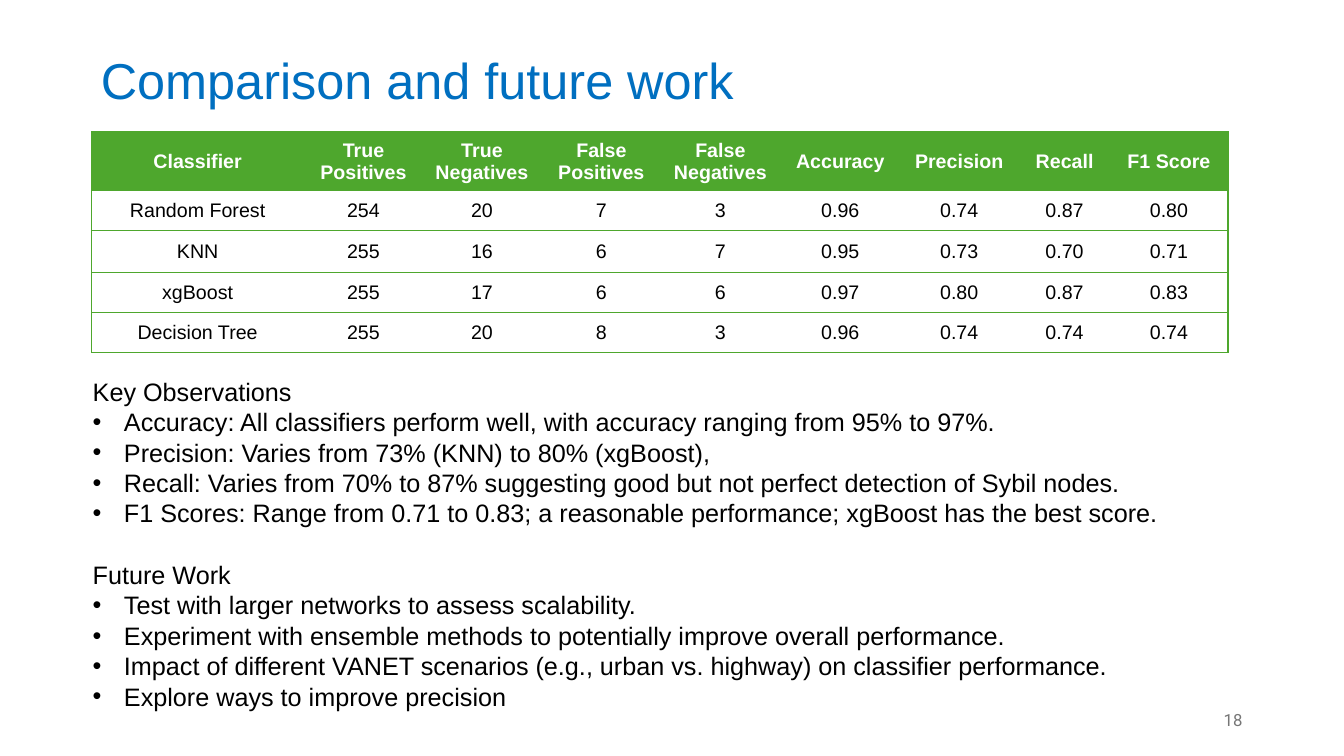
from dataclasses import dataclass

from lxml import etree
from pptx import Presentation
from pptx import util as u
from pptx.dml.color import RGBColor
from pptx.enum import text
from pptx.oxml import ns


@dataclass(frozen=True)
class Theme:
    font: str = "Arial"
    number_font: str = "Roboto"
    title_size: float = 36
    body_size: float = 18
    table_size: float = 14
    number_size: float = 12
    body_line: float = 21.7
    border_width: float = 1
    blue: str = "006FC0"
    green: str = "4EA72D"
    black: str = "000000"
    white: str = "FFFFFF"
    gray: str = "767676"


THEME = Theme()
WIDTH, HEIGHT = u.Inches(13.33), u.Inches(7.5)
NO_STYLE = "{2D5ABB26-0587-4C30-8999-92F81FD0307C}"

RESULTS = [
    ("Classifier", "True Positives", "True Negatives", "False Positives",
     "False Negatives", "Accuracy", "Precision", "Recall", "F1 Score"),
    ("Random Forest", "254", "20", "7", "3", "0.96", "0.74", "0.87", "0.80"),
    ("KNN", "255", "16", "6", "7", "0.95", "0.73", "0.70", "0.71"),
    ("xgBoost", "255", "17", "6", "6", "0.97", "0.80", "0.87", "0.83"),
    ("Decision Tree", "255", "20", "8", "3", "0.96", "0.74", "0.74", "0.74"),
]
COLUMN_WEIGHTS = [1.99, 1.27, 1.22, 1.15, 1.21, 1.17, 1.19, 0.9, 1.17]
ROW_WEIGHTS = [0.58, 0.4, 0.41, 0.4, 0.4]
LEFT_MARGINS = {0: 0.11, 1: 0.14}

SECTIONS = {
    "Key Observations": [
        "Accuracy: All classifiers perform well, with accuracy ranging from 95% to 97%.",
        "Precision: Varies from 73% (KNN) to 80% (xgBoost),",
        "Recall: Varies from 70% to 87% suggesting good but not perfect detection of Sybil nodes.",
        "F1 Scores: Range from 0.71 to 0.83; a reasonable performance; xgBoost has the best score.",
    ],
    "Future Work": [
        "Test with larger networks to assess scalability.",
        "Experiment with ensemble methods to potentially improve overall performance.",
        "Impact of different VANET scenarios (e.g., urban vs. highway) on classifier performance.",
        "Explore ways to improve precision",
    ],
}


def area(left, top, width, height):
    """Turn percentages of the slide into lengths."""
    return (int(WIDTH * left / 100), int(HEIGHT * top / 100),
            int(WIDTH * width / 100), int(HEIGHT * height / 100))


def place(shape, box):
    shape.left, shape.top, shape.width, shape.height = box


def prepare_frame(frame):
    frame.margin_left = frame.margin_right = frame.margin_bottom = 0
    frame.margin_top = u.Inches(0.01)
    frame.word_wrap = True
    frame.auto_size = text.MSO_AUTO_SIZE.NONE
    frame.vertical_anchor = text.MSO_ANCHOR.TOP


def style(para, size, color, bold=False, font=THEME.font, align=text.PP_ALIGN.LEFT):
    para.alignment = align
    para.font.name, para.font.size, para.font.bold = font, u.Pt(size), bold
    para.font.color.rgb = RGBColor.from_string(color)


def set_bullet(para, bulleted):
    properties = para._p.get_or_add_pPr()
    indent = u.Inches(0.31) if bulleted else 0
    properties.set("marL", str(indent))
    properties.set("indent", str(-indent))
    if bulleted:
        etree.SubElement(properties, ns.qn("a:buChar"), char="•")
    else:
        etree.SubElement(properties, ns.qn("a:buNone"))


def add_title(page, words):
    title = page.shapes.title
    place(title, area(7.5, 6.4, 82.4, 8.4))
    prepare_frame(title.text_frame)
    title.text_frame.text = words
    style(title.text_frame.paragraphs[0], THEME.title_size, THEME.blue)


def add_sections(page, sections):
    body = page.placeholders[1]
    place(body, area(6.9, 49.6, 81, 44.4))
    frame = body.text_frame
    prepare_frame(frame)
    lines = [(words, words != heading)
             for heading, items in sections.items() for words in [heading, *items]]
    for position, (words, bulleted) in enumerate(lines):
        para = frame.add_paragraph() if position else frame.paragraphs[0]
        para.text = words
        para.line_spacing = u.Pt(THEME.body_line)
        para.space_before = u.Pt(22.3 if position and not bulleted else 0)
        set_bullet(para, bulleted)
        style(para, THEME.body_size, THEME.black)


def add_borders(cell, sides):
    """Draw green lines on the given sides, named in schema order."""
    properties = cell._tc.get_or_add_tcPr()
    for position, side in enumerate(sides):
        line = etree.Element(ns.qn(f"a:{side}"), w=str(u.Pt(THEME.border_width)))
        fill = etree.SubElement(line, ns.qn("a:solidFill"))
        etree.SubElement(fill, ns.qn("a:srgbClr"), val=THEME.green)
        properties.insert(position, line)


def fill_cell(cell, words, header, left_margin):
    cell.text = words
    cell.margin_left = u.Inches(left_margin)
    cell.margin_right = cell.margin_top = cell.margin_bottom = 0
    cell.vertical_anchor = text.MSO_ANCHOR.MIDDLE
    if header:
        cell.fill.solid()
        cell.fill.fore_color.rgb = RGBColor.from_string(THEME.green)
    else:
        cell.fill.background()
    style(cell.text_frame.paragraphs[0], THEME.table_size,
          THEME.white if header else THEME.black, bold=header,
          align=text.PP_ALIGN.CENTER)


def add_results(page, rows):
    box = area(6.83, 17.47, 84.55, 29.2)
    table = page.shapes.add_table(len(rows), len(rows[0]), *box).table
    table.horz_banding = False
    table._tbl.tblPr.find(ns.qn("a:tableStyleId")).text = NO_STYLE
    for column, weight in zip(table.columns, COLUMN_WEIGHTS):
        column.width = int(box[2] * weight / sum(COLUMN_WEIGHTS))
    for row, weight in zip(table.rows, ROW_WEIGHTS):
        row.height = int(box[3] * weight / sum(ROW_WEIGHTS))
    last = len(rows[0]) - 1
    for row_number, values in enumerate(rows):
        for column_number, words in enumerate(values):
            cell = table.cell(row_number, column_number)
            fill_cell(cell, words, row_number == 0, LEFT_MARGINS.get(column_number, 0))
            outer = {0: ["lnL"], last: ["lnR"]}.get(column_number, [])
            add_borders(cell, outer + ["lnT", "lnB"])


def add_page_number(page, number):
    box = page.shapes.add_textbox(*area(91.05, 93.73, 2.5, 3.07))
    prepare_frame(box.text_frame)
    box.text_frame.text = number
    style(box.text_frame.paragraphs[0], THEME.number_size, THEME.gray,
          font=THEME.number_font)


def main():
    deck = Presentation()
    deck.slide_width, deck.slide_height = WIDTH, HEIGHT
    page = deck.slides.add_slide(deck.slide_layouts[1])
    add_title(page, "Comparison and future work")
    add_results(page, RESULTS)
    add_sections(page, SECTIONS)
    add_page_number(page, "18")
    deck.save("out.pptx")


if __name__ == "__main__":
    main()
